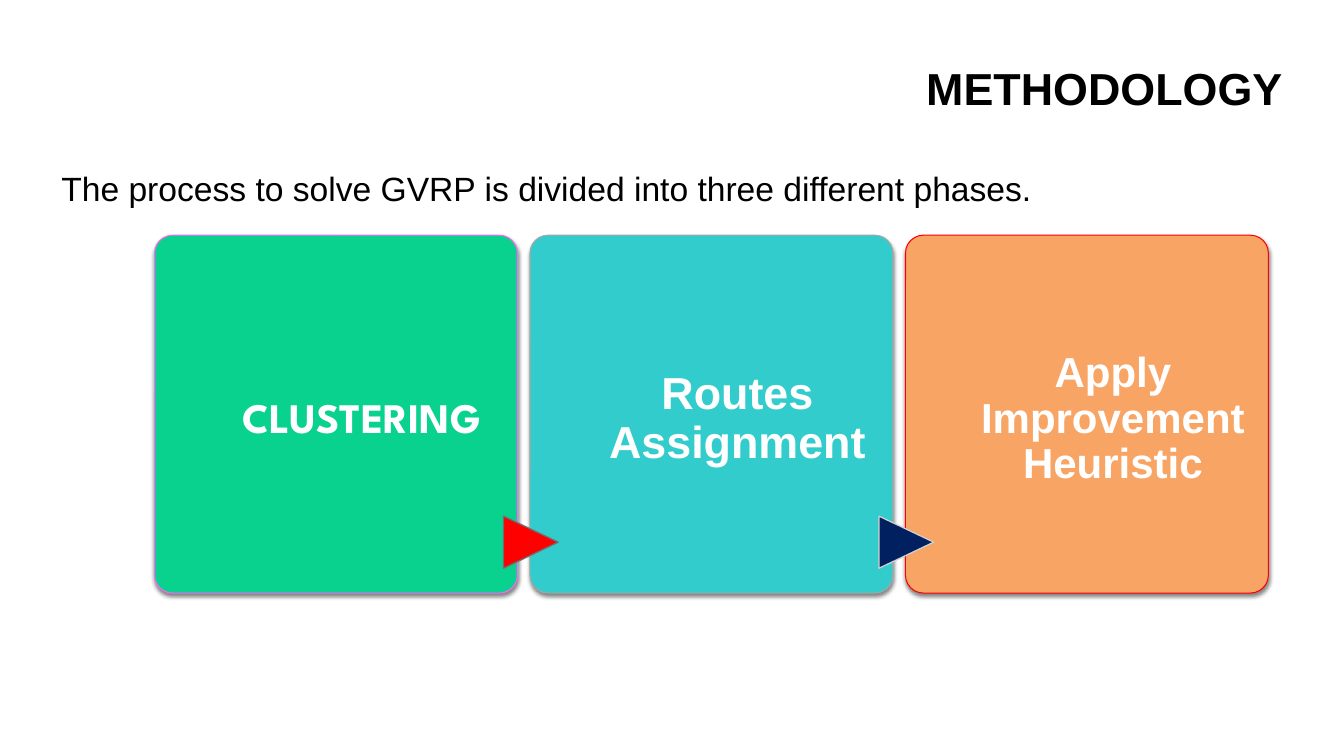
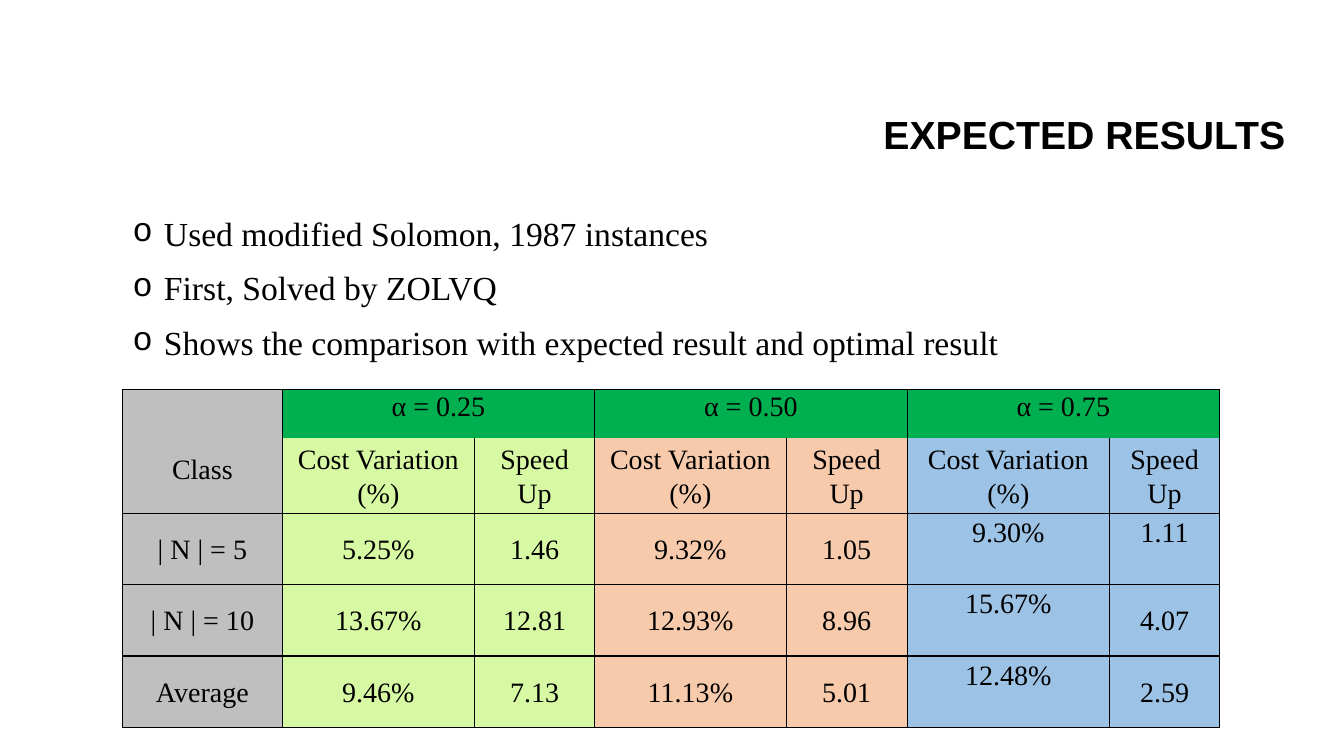
import lxml.etree
import pptx
import pptx.dml.color
import pptx.enum.shapes
import pptx.enum.text
import pptx.oxml.ns
import pptx.util
from dataclasses import dataclass

ALIGN = pptx.enum.text.PP_ALIGN
ANCHOR = pptx.enum.text.MSO_ANCHOR
SHAPE = pptx.enum.shapes.MSO_SHAPE


@dataclass(frozen=True)
class Theme:
    # Fonts
    sans: str = "Arial"
    serif: str = "Times New Roman"
    display: str = "League Spartan"
    bullet: str = "Courier New"
    # Type sizes
    title: int = 32
    title_small: int = 28
    card: int = 30
    body: int = 24
    cell: int = 20
    # Colours
    ink: str = "000000"
    paper: str = "FFFFFF"
    green: str = "09D18E"
    pink: str = "FF66FF"
    teal: str = "33CCCC"
    silver: str = "A6A6A6"
    orange: str = "F7A465"
    red: str = "FF0000"
    navy: str = "002060"
    dark_gray: str = "6F6F6F"
    pale_gray: str = "D0D0D0"
    shadow: str = "6D6D6D"
    class_fill: str = "BFBFBF"
    alpha_fill: str = "00B050"
    group_fills: tuple = ("D8F9A3", "F7CAAC", "9CC2E5")


THEME = Theme()


def color(code):
    return pptx.dml.color.RGBColor.from_string(code)


def add_xml(parent, tag, **attributes):
    child = lxml.etree.SubElement(parent, pptx.oxml.ns.qn(tag))
    for name, value in attributes.items():
        child.set(name, str(value))
    return child


class Deck:
    """The presentation, its style and the current slide.

    Lengths are grid units: 160 columns by 90 rows on each slide.
    """

    COLUMNS, ROWS = 160, 90

    def __init__(self):
        self.file = pptx.Presentation()
        self.file.slide_width = pptx.util.Inches(13.33)
        self.file.slide_height = pptx.util.Inches(7.5)
        self.page = None

    def across(self, columns):
        return round(self.file.slide_width * columns / self.COLUMNS)

    def down(self, rows):
        return round(self.file.slide_height * rows / self.ROWS)

    def frame(self, left, top, width, height):
        return self.across(left), self.down(top), self.across(width), self.down(height)

    def add_page(self):
        self.page = self.file.slides.add_slide(self.file.slide_layouts[1])

    def move(self, shape, place):
        shape.left, shape.top, shape.width, shape.height = self.frame(*place)

    def style(self, para, size, font, ink=THEME.ink, bold=False,
              align=ALIGN.CENTER, leading=0.9):
        para.alignment = align
        para.line_spacing = leading
        para.space_before = pptx.util.Pt(0)
        para.font.size = pptx.util.Pt(size)
        para.font.name = font
        para.font.bold = bold
        para.font.color.rgb = color(ink)

    def title(self, text, place, size):
        box = self.page.shapes.title
        self.move(box, place)
        box.text_frame.text = text
        box.text_frame.auto_size = pptx.enum.text.MSO_AUTO_SIZE.NONE
        box.text_frame.vertical_anchor = ANCHOR.MIDDLE
        self.style(box.text_frame.paragraphs[0], size, THEME.sans,
                   bold=True, align=ALIGN.RIGHT)

    def body(self, lines, place, font, bullets=False):
        box = self.page.placeholders[1]
        self.move(box, place)
        box.text_frame.text = "\n".join(lines)
        box.text_frame.auto_size = pptx.enum.text.MSO_AUTO_SIZE.NONE
        indent = pptx.util.Inches(0.31) if bullets else 0
        for para in box.text_frame.paragraphs:
            self.style(para, THEME.body, font,
                       align=ALIGN.JUSTIFY if bullets else ALIGN.LEFT,
                       leading=1.07 if bullets else 1.0)
            para.space_after = pptx.util.Pt(8 if bullets else 0)
            properties = para._p.get_or_add_pPr()
            properties.set("marL", str(indent))
            properties.set("indent", str(-indent))
            if bullets:
                add_xml(properties, "a:buFont", typeface=THEME.bullet)
                add_xml(properties, "a:buChar", char="o")
            else:
                add_xml(properties, "a:buNone")

    def shape(self, kind, place, fill, line, weight):
        shape = self.page.shapes.add_shape(kind, *self.frame(*place))
        shape.shadow.inherit = False
        shape.fill.solid()
        shape.fill.fore_color.rgb = color(fill)
        shape.line.color.rgb = color(line)
        shape.line.width = pptx.util.Pt(weight)
        return shape

    def card(self, text, place, fill, line, font, size):
        card = self.shape(SHAPE.ROUNDED_RECTANGLE, place, fill, line, 0.75)
        card.adjustments[0] = 0.05
        # Soft shadow straight below the card
        effects = card._element.spPr.find(pptx.oxml.ns.qn("a:effectLst"))
        shadow = add_xml(effects, "a:outerShdw", blurRad=pptx.util.Pt(3.1),
                         dist=pptx.util.Pt(2), dir=90 * 60000, rotWithShape=0)
        add_xml(add_xml(shadow, "a:srgbClr", val=THEME.shadow), "a:alpha", val=83000)
        # Label, set right of the middle
        frame = card.text_frame
        frame.word_wrap = True
        frame.vertical_anchor = ANCHOR.MIDDLE
        frame.margin_left, frame.margin_right = self.across(7.8), self.across(1.6)
        frame.margin_top, frame.margin_bottom = self.down(1.3), 0
        frame.text = text
        self.style(frame.paragraphs[0], size, font, THEME.paper, bold=True)

    def arrow(self, place, fill, line):
        arrow = self.shape(SHAPE.FLOWCHART_EXTRACT, place, fill, line, 0.9)
        arrow.rotation = 90

    def table(self, left, top, widths, heights):
        place = self.frame(left, top, sum(widths), sum(heights))
        table = self.page.shapes.add_table(len(heights), len(widths), *place).table
        table.first_row = table.horz_banding = False
        for column, width in zip(table.columns, widths):
            column.width = self.across(width)
        for row, height in zip(table.rows, heights):
            row.height = self.down(height)
        return table

    def cell(self, cell, text, fill, sides="LRTB", anchor=ANCHOR.MIDDLE, lower=0):
        """Fill a cell; lower moves its text down by rows (up if negative)."""
        properties = cell._tc.get_or_add_tcPr()
        for side in "LRTB":
            edge = add_xml(properties, "a:ln" + side, w=pptx.util.Pt(1))
            if side in sides:
                add_xml(add_xml(edge, "a:solidFill"), "a:srgbClr", val=THEME.ink)
            else:
                add_xml(edge, "a:noFill")
        cell.fill.solid()
        cell.fill.fore_color.rgb = color(fill)
        cell.vertical_anchor = anchor
        cell.margin_left = cell.margin_right = pptx.util.Inches(0.07)
        cell.margin_top = self.down(max(lower, 0))
        cell.margin_bottom = self.down(max(-lower, 0))
        cell.text = text
        self.style(cell.text_frame.paragraphs[0], THEME.cell, THEME.serif, leading=1.07)


def methodology(deck):
    deck.add_page()
    deck.title("METHODOLOGY", (40.9, 2.4, 113, 16.9), THEME.title)
    deck.body(["The process to solve GVRP is divided into three different phases."],
              (6.1, 19.4, 125, 6), THEME.sans)

    # Three phases, with an arrow leading into each after the first
    phases = [
        ("CLUSTERING", THEME.green, THEME.pink, THEME.display, THEME.card, None),
        ("Routes Assignment", THEME.teal, THEME.silver, THEME.sans, THEME.title,
         (THEME.red, THEME.dark_gray)),
        ("Apply Improvement Heuristic", THEME.orange, THEME.red, THEME.sans, THEME.card,
         (THEME.navy, THEME.pale_gray)),
    ]
    width, gap = 43.2, 1.5
    for index, (text, fill, line, font, size, arrow) in enumerate(phases):
        left = 18.4 + index * (width + gap)
        deck.card(text, (left, 28, width, 42.6), fill, line, font, size)
        if arrow:
            deck.arrow((left - 3, 61.3, 6.2, 6.5), *arrow)


def expected_results(deck):
    deck.add_page()
    deck.title("EXPECTED RESULTS", (34.4, 7.8, 119.8, 16.9), THEME.title_small)
    deck.body(["Used modified Solomon, 1987 instances",
               "First, Solved by ZOLVQ",
               "Shows the comparison with expected result and optimal result"],
              (14.6, 24.4, 112.8, 19.1), THEME.serif, bullets=True)

    alphas = ["α = 0.25", "α = 0.50", "α = 0.75"]
    results = [
        ["| N | = 5", "5.25%", "1.46", "9.32%", "1.05", "9.30%", "1.11"],
        ["| N | = 10", "13.67%", "12.81", "12.93%", "8.96", "15.67%", "4.07"],
        ["Average", "9.46%", "7.13", "11.13%", "5.01", "12.48%", "2.59"],
    ]
    raised = {"9.30%", "1.11", "15.67%", "12.48%"}
    text_line = 4.1
    table = deck.table(14.6, 46.4, [19, 22.9, 14.3, 22.8, 14.4, 24.1, 13.1],
                       [5.8, 8.9, 8.5, 8.5, 8.5])

    # Header: the class cell spans two rows, each alpha spans two columns
    table.cell(0, 0).merge(table.cell(1, 0))
    deck.cell(table.cell(0, 0), "Class", THEME.class_fill, lower=text_line)
    deck.cell(table.cell(1, 0), "", THEME.class_fill)
    for group, (alpha, fill) in enumerate(zip(alphas, THEME.group_fills)):
        first = 1 + 2 * group
        table.cell(0, first).merge(table.cell(0, first + 1))
        for offset, heading in enumerate(["Cost Variation (%)", "Speed Up"]):
            deck.cell(table.cell(0, first + offset), "" if offset else alpha,
                      THEME.alpha_fill, "LRT", ANCHOR.TOP)
            deck.cell(table.cell(1, first + offset), heading, fill, "LRB")

    # Results
    for row, values in enumerate(results, start=2):
        for column, value in enumerate(values):
            fill = THEME.group_fills[(column - 1) // 2] if column else THEME.class_fill
            deck.cell(table.cell(row, column), value, fill,
                      lower=-text_line if value in raised else 0)


def main():
    deck = Deck()
    methodology(deck)
    expected_results(deck)
    deck.file.save("out.pptx")


if __name__ == "__main__":
    main()
